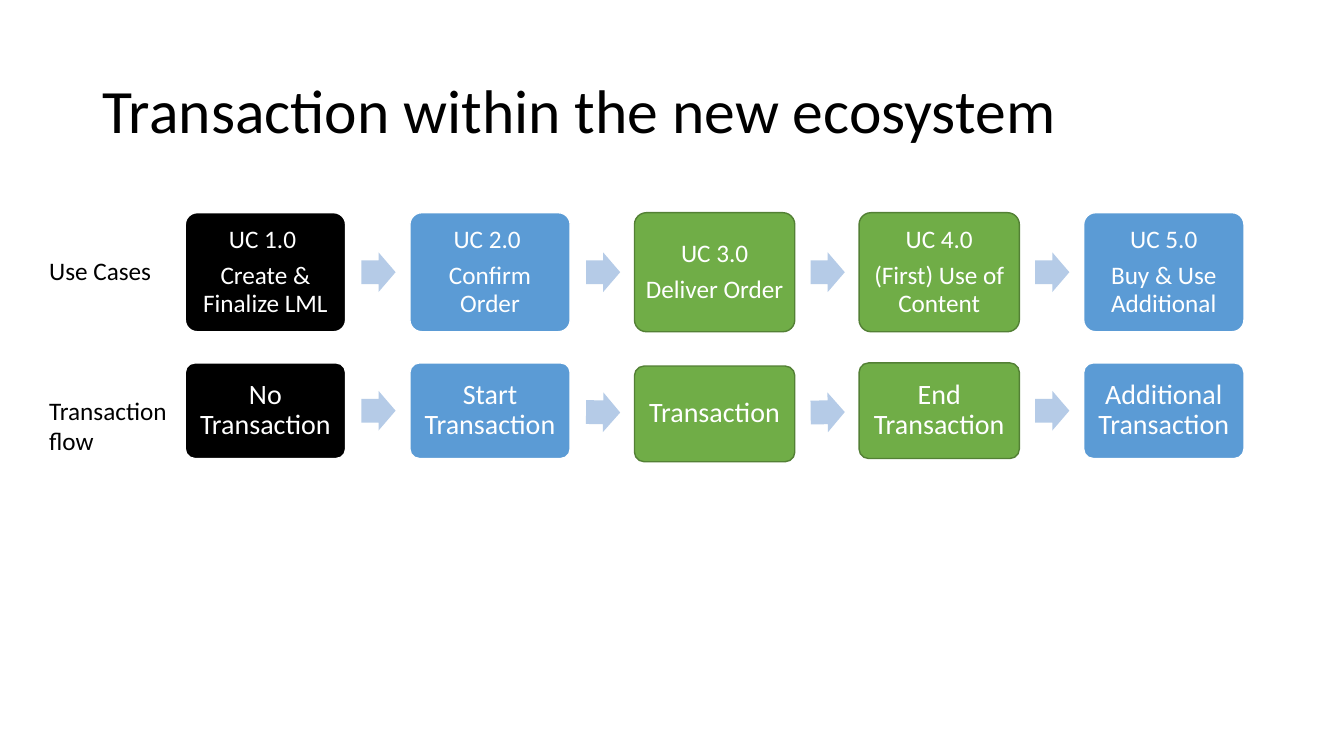
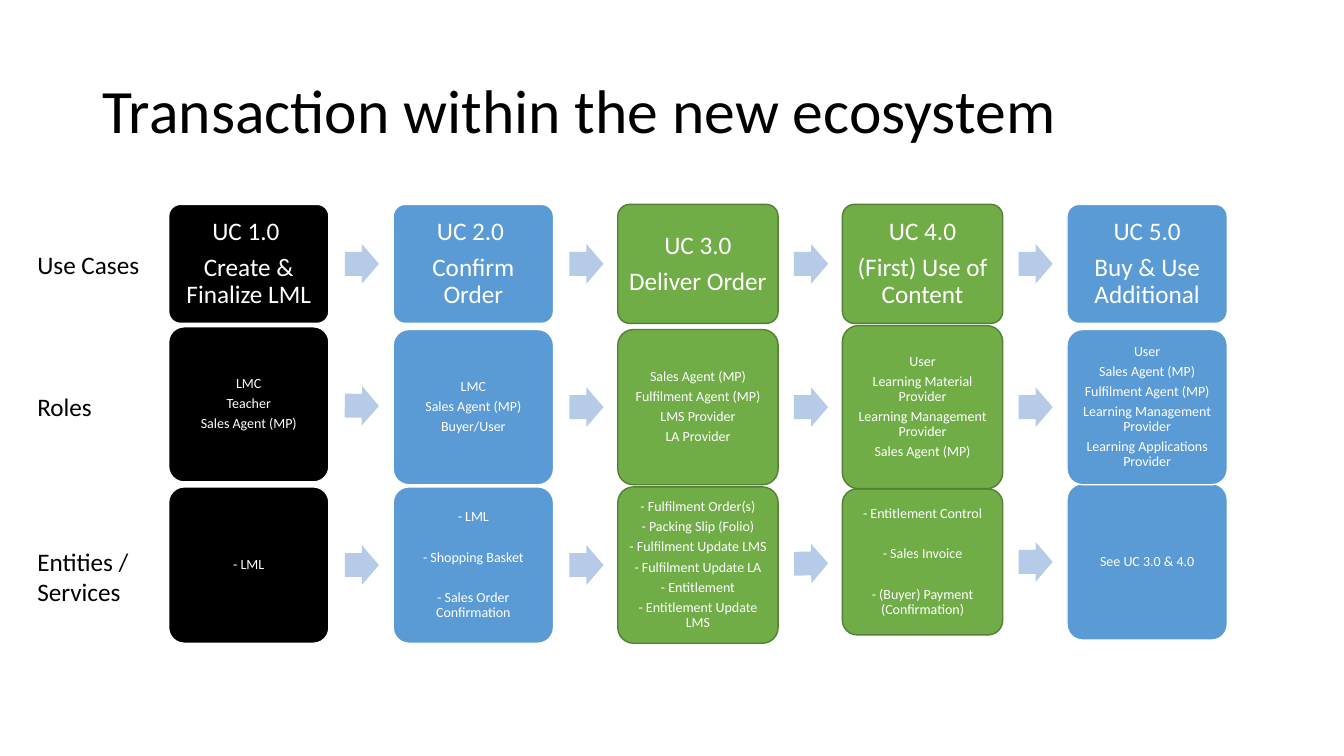
from math import atan2, degrees
from pptx import Presentation
from pptx.dml.color import RGBColor
from pptx.enum.shapes import MSO_SHAPE
from pptx.enum.text import MSO_ANCHOR, PP_ALIGN
from pptx.util import Cm, Pt

# Colours
BLACK = RGBColor(0x00, 0x00, 0x00)
WHITE = RGBColor(0xFF, 0xFF, 0xFF)
BLUE = RGBColor(0x5B, 0x9B, 0xD5)
GREEN = RGBColor(0x70, 0xAD, 0x47)
FOREST = RGBColor(0x53, 0x80, 0x35)
PALE = RGBColor(0xB5, 0xCB, 0xE7)

# Shared title, label style and column looks
TITLE = "Transaction within the new ecosystem"
FONT = "Calibri"
LOOKS = [(BLACK, WHITE), (BLUE, WHITE), (GREEN, FOREST),
         (GREEN, FOREST), (BLUE, WHITE)]

# Grid in centimetres
STEP, WIDE = 5.66, 4.04
SHIFT, LONG, TALL = 4.44, 0.86, 1.0

# Row contents, one list of lines per column
CASES = [["UC 1.0 ", "Create & Finalize LML"],
         ["UC 2.0 ", "Confirm Order"],
         ["UC 3.0", "Deliver Order"],
         ["UC 4.0", "(First) Use of Content"],
         ["UC 5.0", "Buy & Use Additional"]]
FLOW = [["No Transaction"], ["Start Transaction"], ["Transaction"],
        ["End Transaction"], ["Additional Transaction"]]
ROLES = [["LMC", "Teacher", "Sales Agent (MP)"],
         ["LMC", "Sales Agent (MP)", "Buyer/User"],
         ["Sales Agent (MP)", "Fulfilment Agent (MP)", "LMS Provider",
          "LA Provider"],
         ["User", "Learning Material Provider",
          "Learning Management Provider", "Sales Agent (MP)"],
         ["User", "Sales Agent (MP)", "Fulfilment Agent (MP)",
          "Learning Management Provider", "Learning Applications Provider"]]
GOODS = [["- LML"],
         ["- LML", "- Shopping Basket", "- Sales Order Confirmation"],
         ["- Fulfilment Order(s)", "- Packing Slip (Folio)",
          "- Fulfilment Update LMS", "- Fulfilment Update LA",
          "- Entitlement", "- Entitlement Update LMS"],
         ["- Entitlement Control", "- Sales Invoice",
          "- (Buyer) Payment (Confirmation)"],
         ["See UC 3.0 & 4.0"]]

# Row formats: mids and highs per column, gap as a share of the text size
TIGHT = [0.35] * 5
HEAD = {"label": "Use Cases", "cells": CASES, "size": 18, "pad": 0.17,
        "highs": [3.0] * 5, "gaps": TIGHT}
SMALL = {"size": 10, "pad": 0.1}
SLIDES = [
    {"left": 4.67, "edge": 0.99, "room": 3.48, "rows": [
        HEAD | {"mids": [6.86] * 5, "top": 6.32},
        {"label": "Transaction flow", "cells": FLOW, "size": 20, "pad": 0.2,
         "highs": [2.41] * 5, "gaps": TIGHT, "top": 9.83,
         "mids": [10.35, 10.35, 10.43, 10.35, 10.35]}]},
    {"left": 4.25, "edge": 0.69, "room": 3.28, "rows": [
        HEAD | {"mids": [6.65] * 5, "top": 6.15},
        SMALL | {"label": "Entities / Services", "cells": GOODS, "top": 13.64,
                 "highs": [3.94, 3.94, 3.94, 3.68, 3.94],
                 "mids": [14.24, 14.24, 14.24, 14.16, 14.16],
                 "gaps": [0.35, 1.8, 0.35, 1.8, 0.35]},
        SMALL | {"label": "Roles", "cells": ROLES, "top": 9.73,
                 "highs": [3.91, 3.91, 3.91, 4.11, 3.91],
                 "mids": [10.19, 10.26, 10.26, 10.26, 10.26],
                 "gaps": TIGHT}]},
]


def write(shape, lines, size, color, frame={}, para={}, gap=0):
    """Fill a shape with paragraphs; gap lies between them."""
    text = shape.text_frame
    for name, value in ({"word_wrap": True} | frame).items():
        setattr(text, name, value)
    for num, line in enumerate(lines):
        part = text.add_paragraph() if num else text.paragraphs[0]
        part.text = line
        for name, value in para.items():
            setattr(part, name, value)
        if gap:
            last = num == len(lines) - 1
            part.space_after = Pt(round(size * (0.35 if last else gap), 1))
        for name, value in {"name": FONT, "size": Pt(size)}.items():
            setattr(part.runs[0].font, name, value)
        part.runs[0].font.color.rgb = color


def draw(slide, kind, place, fill, edge=None):
    """Add a flat preset shape at a place in centimetres."""
    shape = slide.shapes.add_shape(kind, *map(Cm, place))
    shape.shadow.inherit = False
    shape.fill.solid()
    shape.fill.fore_color.rgb = fill
    if edge is None:
        shape.line.fill.background()
    else:
        shape.line.color.rgb = edge
        shape.line.width = Pt(1)
    return shape


deck = Presentation()
deck.slide_width, deck.slide_height = Cm(33.87), Cm(19.05)

for plan in SLIDES:
    slide = deck.slides.add_slide(deck.slide_layouts[6])

    # Title
    title = slide.shapes.add_textbox(Cm(2.34), Cm(1.02), Cm(29.21), Cm(3.68))
    write(title, [TITLE], 44, BLACK, {"vertical_anchor": MSO_ANCHOR.MIDDLE},
          {"line_spacing": 0.9})

    for row in plan["rows"]:
        # Row label
        label = slide.shapes.add_textbox(
            Cm(plan["edge"]), Cm(row["top"]), Cm(plan["room"]), Cm(1.02))
        write(label, [row["label"]], 18, BLACK)

        # Boxes
        frame = {"vertical_anchor": MSO_ANCHOR.MIDDLE}
        for side in ("left", "right", "top", "bottom"):
            frame["margin_" + side] = Cm(row["pad"])
        mids = row["mids"]
        cols = zip(row["cells"], mids, row["highs"], row["gaps"], LOOKS)
        for col, (lines, mid, high, gap, look) in enumerate(cols):
            left = plan["left"] + col * STEP
            box = draw(slide, MSO_SHAPE.ROUNDED_RECTANGLE,
                       (left, mid - high / 2, WIDE, high), *look)
            box.adjustments[0] = 0.1
            write(box, lines, row["size"], WHITE, frame,
                  {"alignment": PP_ALIGN.CENTER, "line_spacing": 0.9}, gap)

        # Arrows, each tilted from one box centre to the next
        for col, (mid, goal) in enumerate(zip(mids, mids[1:])):
            left = plan["left"] + col * STEP + SHIFT
            arrow = draw(slide, MSO_SHAPE.RIGHT_ARROW,
                         (left, (mid + goal - TALL) / 2, LONG, TALL), PALE)
            arrow.adjustments[0] = 0.6
            arrow.rotation = degrees(atan2(goal - mid, STEP))

deck.save("out.pptx")
